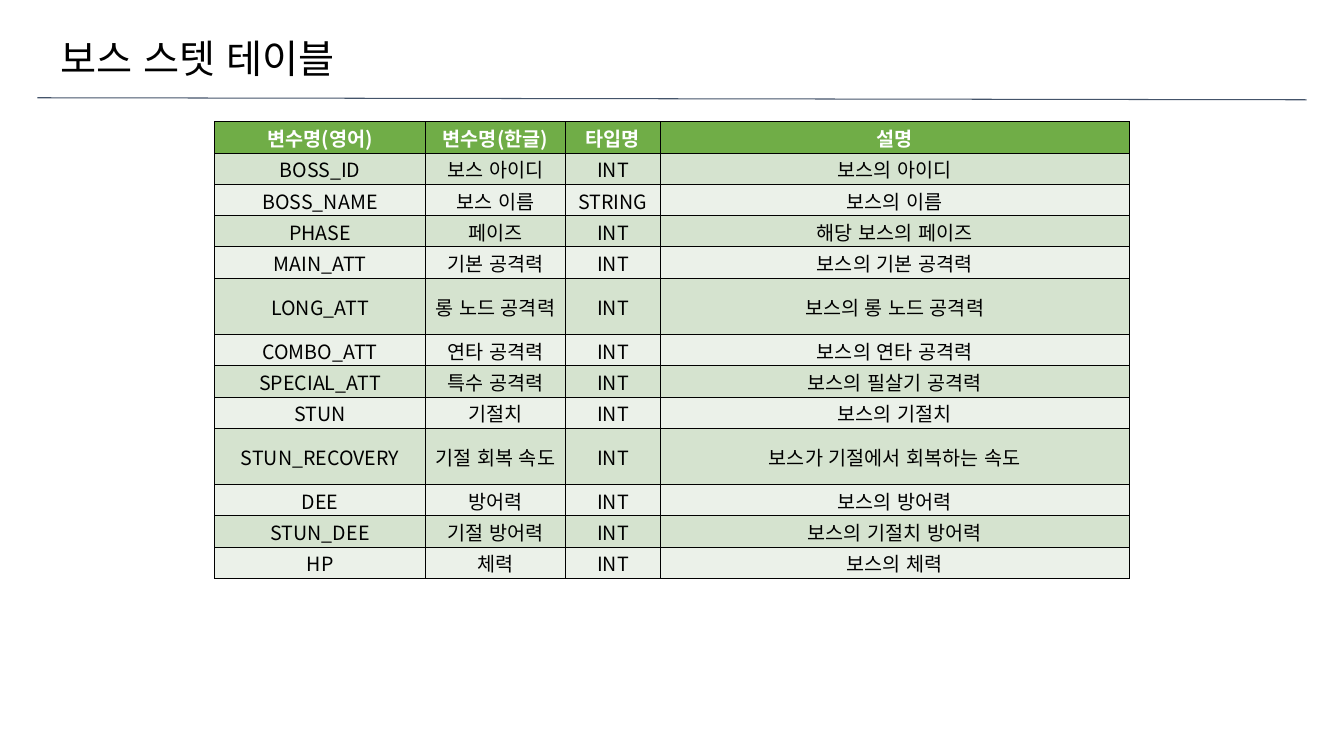
"""Build the boss stat table slide."""
from dataclasses import dataclass

from lxml import etree
from pptx import Presentation
from pptx.dml.color import RGBColor
from pptx.enum.lang import MSO_LANGUAGE_ID
from pptx.enum.shapes import MSO_CONNECTOR
from pptx.enum.text import MSO_ANCHOR, PP_ALIGN
from pptx.oxml.ns import qn
from pptx.util import Inches, Pt

STRAIGHT = MSO_CONNECTOR.STRAIGHT
BOTTOM, MIDDLE = MSO_ANCHOR.BOTTOM, MSO_ANCHOR.MIDDLE
LEFT, CENTER = PP_ALIGN.LEFT, PP_ALIGN.CENTER
KOREAN = MSO_LANGUAGE_ID.KOREAN


@dataclass(frozen=True)
class Theme:
    """Hold the colours, font and sizes."""
    font: str = "Noto Sans CJK KR"
    ink: str = "000000"
    white: str = "FFFFFF"
    rule: str = "44546A"
    head: str = "70AD47"
    bands: tuple = ("EBF1E9", "D5E3CF")
    title: int = 28
    body: int = 14
    line: float = 0.75


theme = Theme()


def write(frame, text, size, color, align, bold=False):
    """Put one styled run in the first paragraph."""
    para = frame.paragraphs[0]
    para.alignment = align
    run = para.add_run()
    run.text = text
    font = run.font
    font.name, font.size, font.bold = theme.font, Pt(size), bold
    font.language_id = KOREAN
    font.color.rgb = RGBColor.from_string(color)
    props = run._r.get_or_add_rPr()
    props.set("kern", "0")
    etree.SubElement(props, qn("a:ea"), typeface=theme.font)


def edge(cell):
    """Draw the four borders of a cell."""
    props = cell._tc.get_or_add_tcPr()
    for spot, side in enumerate(("lnL", "lnR", "lnT", "lnB")):
        line = etree.Element(qn(f"a:{side}"), w=str(Pt(theme.line)))
        fill = etree.SubElement(line, qn("a:solidFill"))
        etree.SubElement(fill, qn("a:srgbClr"), val=theme.ink)
        props.insert(spot, line)


deck = Presentation()
deck.slide_width, deck.slide_height = Inches(13.33), Inches(7.5)
slide = deck.slides.add_slide(deck.slide_layouts[6])

rule = slide.shapes.add_connector(
    STRAIGHT, Inches(0.37), Inches(0.97), Inches(12.96), Inches(0.99))
rule.line.color.rgb = RGBColor.from_string(theme.rule)
rule.line.width = Pt(theme.line)
etree.SubElement(rule._element.spPr, qn("a:effectLst"))

title = slide.shapes.add_textbox(
    Inches(0.5), Inches(0.29), Inches(12.46), Inches(0.57))
title.text_frame.word_wrap = True
title.text_frame.vertical_anchor = BOTTOM
write(title.text_frame, "보스 스텟 테이블", theme.title, theme.ink, LEFT)

stats = [
    ("변수명(영어)", "변수명(한글)", "타입명", "설명"),
    ("BOSS_ID", "보스 아이디", "INT", "보스의 아이디"),
    ("BOSS_NAME", "보스 이름", "STRING", "보스의 이름"),
    ("PHASE", "페이즈", "INT", "해당 보스의 페이즈"),
    ("MAIN_ATT", "기본 공격력", "INT", "보스의 기본 공격력"),
    ("LONG_ATT", "롱 노드 공격력", "INT", "보스의 롱 노드 공격력"),
    ("COMBO_ATT", "연타 공격력", "INT", "보스의 연타 공격력"),
    ("SPECIAL_ATT", "특수 공격력", "INT", "보스의 필살기 공격력"),
    ("STUN", "기절치", "INT", "보스의 기절치"),
    ("STUN_RECOVERY", "기절 회복 속도", "INT", "보스가 기절에서 회복하는 속도"),
    ("DEE", "방어력", "INT", "보스의 방어력"),
    ("STUN_DEE", "기절 방어력", "INT", "보스의 기절치 방어력"),
    ("HP", "체력", "INT", "보스의 체력"),
]
widths = (2.09, 1.39, 0.94, 4.65)
tall = ("LONG_ATT", "STUN_RECOVERY")

holder = slide.shapes.add_table(
    len(stats), len(widths), Inches(2.13), Inches(1.21),
    Inches(sum(widths)), Inches(4.52))
grid = holder.table
for column, width in zip(grid.columns, widths):
    column.width = Inches(width)

for index, record in enumerate(stats):
    grid.rows[index].height = Inches(0.56 if record[0] in tall else 0.31)
    top = index == 0
    back = theme.head if top else theme.bands[index % 2]
    color = theme.white if top else theme.ink
    for cell, text in zip(grid.rows[index].cells, record):
        cell.fill.solid()
        cell.fill.fore_color.rgb = RGBColor.from_string(back)
        cell.vertical_anchor = MIDDLE
        cell.margin_left = cell.margin_right = cell.margin_top = Inches(0.01)
        cell.margin_bottom = 0
        write(cell.text_frame, text, theme.body, color, CENTER, top)
        edge(cell)

deck.save("out.pptx")
